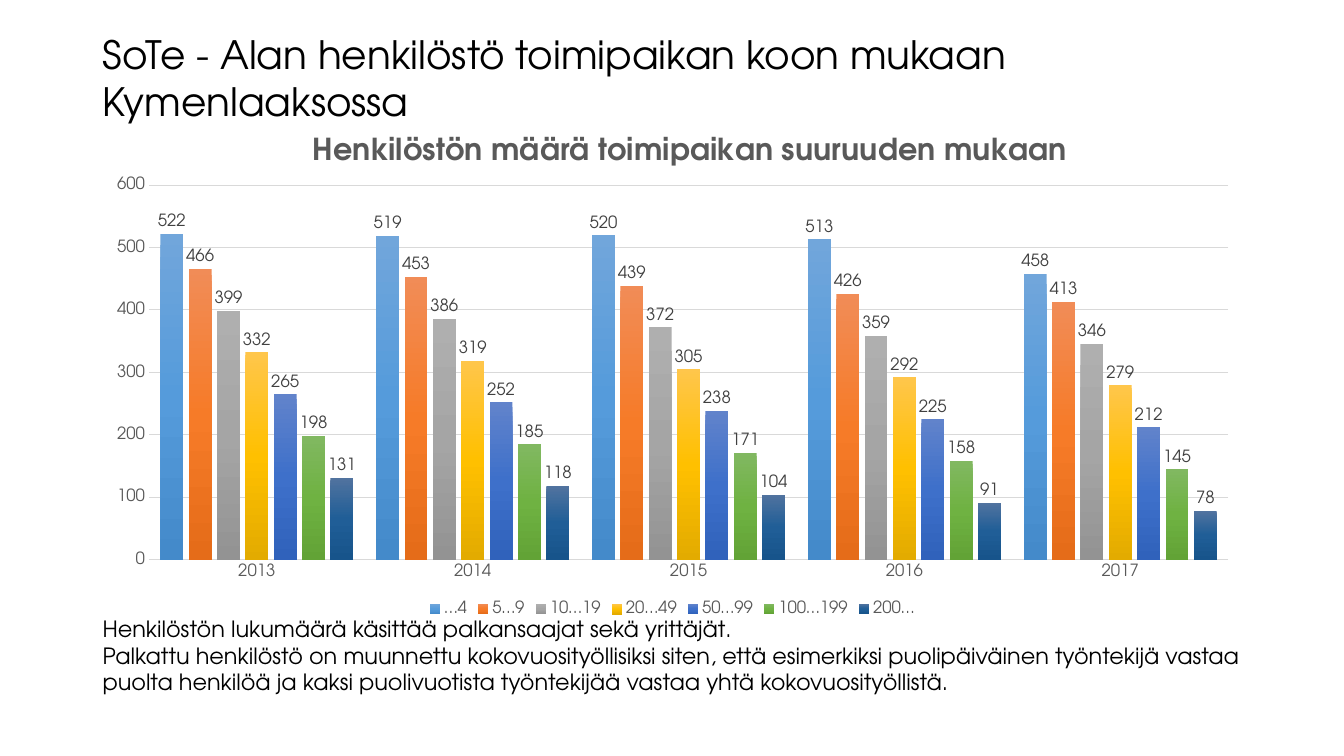
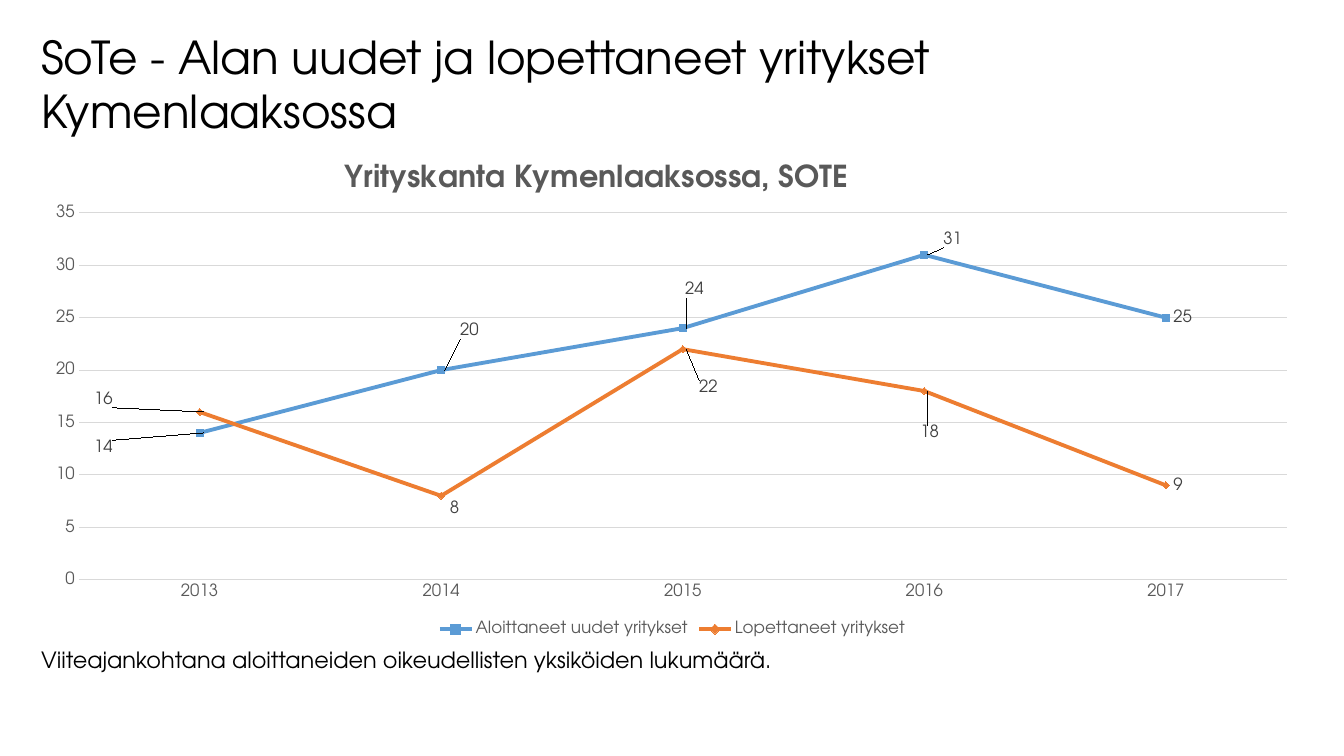
"""Build two slides on care sector staff and firms in Kymenlaakso."""
from copy import deepcopy
from dataclasses import dataclass
from typing import Any, NamedTuple

from lxml.etree import SubElement
from pptx import Presentation
from pptx.chart.data import CategoryChartData as ChartData
from pptx.dml.color import RGBColor
from pptx.enum.chart import XL_CHART_TYPE as Kind
from pptx.enum.chart import XL_LABEL_POSITION as Spot
from pptx.enum.chart import XL_LEGEND_POSITION as Side
from pptx.enum.chart import XL_TICK_MARK as Tick
from pptx.enum.text import MSO_ANCHOR as Anchor
from pptx.oxml.ns import qn
from pptx.util import Inches, Pt

FONT = "TeX Gyre Adventor"
BLACK, GREY, DARK, RULE = "000000", "595959", "404040", "D9D9D9"
YEARS = ("2013", "2014", "2015", "2016", "2017")
WIDE, HIGH = Inches(13.33), Inches(7.5)


class Area(NamedTuple):
    """Left, top, width and height in percent of the slide."""
    left: float
    top: float
    width: float
    height: float


class Row(NamedTuple):
    """One data series, its colours and its label shifts in percent."""
    name: str
    vals: tuple[int, ...]
    tones: tuple[str, ...]
    shifts: tuple[tuple[float, float], ...] = ()


@dataclass
class Graph:
    """A chart, with its inner places in percent of the chart."""
    kind: Kind
    title: str
    area: Area
    head: tuple[float, float]
    plot: Area
    top: int
    step: int
    rows: tuple[Row, ...]


@dataclass
class Page:
    """A slide with a title, a chart and a note."""
    title: str
    size: float
    head: Area
    graph: Graph
    note: tuple[str, ...]
    foot: Area


PAGES = (
    Page(
        "SoTe - Alan henkilöstö toimipaikan koon mukaan Kymenlaaksossa",
        27.9, Area(6.9, 3.6, 86.26, 13.33),
        Graph(
            Kind.COLUMN_CLUSTERED, "Henkilöstön määrä toimipaikan suuruuden mukaan",
            Area(6.9, 15.2, 86.26, 66.93), (18.5, 2.8), Area(4.85, 13.9, 93.1, 74), 600, 100,
            (
                Row("…4", (522, 519, 520, 513, 458), ("71A6DB", "559BDB", "448ACA")),
                Row("5…9", (466, 453, 439, 426, 413), ("F18C57", "F67B28", "E56C19")),
                Row("10…19", (399, 386, 372, 359, 346), ("AFAFAF", "A5A5A5", "939393")),
                Row("20…49", (332, 319, 305, 292, 279), ("FFC64B", "FFC000", "E3AB00")),
                Row("50…99", (265, 252, 238, 225, 212), ("6183CB", "3E70CA", "3062BB")),
                Row("100…199", (198, 185, 171, 158, 145), ("81B861", "6FB242", "62A336")),
                Row("200…", (131, 118, 104, 91, 78), ("51739F", "205E97", "17548B")),
            ),
        ),
        (
            "Henkilöstön lukumäärä käsittää palkansaajat sekä yrittäjät.",
            "Palkattu henkilöstö on muunnettu kokovuosityöllisiksi siten, että esimerkiksi "
            "puolipäiväinen työntekijä vastaa puolta henkilöä ja kaksi puolivuotista "
            "työntekijää vastaa yhtä kokovuosityöllistä.",
        ),
        Area(6.9, 80.67, 86.26, 12.13),
    ),
    Page(
        "SoTe - Alan uudet ja lopettaneet yritykset Kymenlaaksossa",
        32.4, Area(2.33, 4.13, 90.85, 13.73),
        Graph(
            Kind.LINE, "Yrityskanta Kymenlaaksossa, SOTE",
            Area(2.33, 17.87, 95.42, 66.93), (24, 4.2), Area(3.7, 15.4, 94.2, 72.5), 35, 5,
            (
                Row("Aloittaneet uudet yritykset", (14, 20, 24, 31, 25), ("5B9BD5",),
                    ((-8.8, 3), (0.9, -7.7), (-0.4, -7.5), (0.9, -3))),
                Row("Lopettaneet yritykset", (16, 8, 22, 18, 9), ("ED7D31",),
                    ((-8.8, -2.4), (0.1, 2.6), (0.7, 7.7), (-0.9, 8.3))),
            ),
        ),
        ("Viiteajankohtana aloittaneiden oikeudellisten yksiköiden lukumäärä.",),
        Area(2.33, 84.8, 95.42, 4.93),
    ),
)


def tint(code: str) -> RGBColor:
    """Turn a hex string into a colour."""
    return RGBColor.from_string(code)


def style(font: Any, size: float, code: str, bold: bool = False) -> None:
    """Set the face, size, colour and weight of a font."""
    font.name, font.size, font.bold = FONT, Pt(size), bold
    font.color.rgb = tint(code)


def box(area: Area) -> tuple[int, int, int, int]:
    """Turn percent shares into slide lengths."""
    return tuple(int(side * part / 100) for side, part in zip((WIDE, HIGH) * 2, area))


def write(slide: Any, area: Area, lines: tuple[str, ...], size: float, anchor: Anchor) -> None:
    """Add a text box with one paragraph a line."""
    frame = slide.shapes.add_textbox(*box(area)).text_frame
    frame.word_wrap, frame.vertical_anchor = True, anchor
    frame.text = "\n".join(lines)
    for para in frame.paragraphs:
        style(para.font, size, BLACK)


def place(node: Any, index: int, spots: tuple[float, ...], edge: bool = True) -> None:
    """Give a chart part a manual layout in percent of the chart."""
    for old in node.findall(qn("c:layout")):
        node.remove(old)
    layout = node.makeelement(qn("c:layout"))
    node.insert(index, layout)
    manual = SubElement(layout, qn("c:manualLayout"))
    marks = []
    if len(spots) == 4:
        marks.append(("layoutTarget", "inner"))
    if edge:
        marks += [("xMode", "edge"), ("yMode", "edge")]
    marks += [(key, f"{val / 100:.4f}") for key, val in zip("xywh", spots)]
    for key, val in marks:
        SubElement(manual, qn(f"c:{key}")).set("val", val)


def shade(fill: Any, node: Any, tones: tuple[str, ...]) -> None:
    """Fill a series with a gradient from top to bottom."""
    fill.gradient()
    fill.gradient_angle = 270
    stops = node.xpath("c:spPr/a:gradFill/a:gsLst")[0]
    while len(stops) < len(tones):
        stops.append(deepcopy(stops[-1]))
    for i, (stop, tone) in enumerate(zip(fill.gradient_stops, tones)):
        stop.position = i / (len(tones) - 1)
        stop.color.rgb = tint(tone)


def label(series: Any, row: Row, spot: Spot) -> None:
    """Show the values of a series and shift single labels."""
    tags = series.data_labels
    tags.show_value, tags.position = True, spot
    tags.number_format, tags.number_format_is_linked = "0", False
    style(tags.font, 12, DARK)
    for i, shift in enumerate(row.shifts):
        tag = series.points[i].data_label
        style(tag.font, 12, DARK)
        tag.position = spot
        place(series._element.xpath("c:dLbls/c:dLbl")[i], 1, shift, False)


def paint(series: Any, row: Row) -> None:
    """Draw a series as gradient columns or as a plain line."""
    if len(row.tones) > 1:
        series.invert_if_negative = False
        shade(series.format.fill, series._element, row.tones)
        label(series, row, Spot.OUTSIDE_END)
    else:
        series.smooth = False
        series.marker.style = None
        series.format.line.width = Pt(2.75)
        series.format.line.color.rgb = tint(row.tones[0])
        label(series, row, Spot.RIGHT)


def scale(chart: Any, graph: Graph) -> None:
    """Style both axes and the grid lines."""
    years, count = chart.category_axis, chart.value_axis
    for axis in (years, count):
        axis.major_tick_mark = axis.minor_tick_mark = Tick.NONE
        style(axis.tick_labels.font, 12, GREY)
    years.format.line.color.rgb = tint(RULE)
    years.format.line.width = Pt(1)
    count.format.line.fill.background()
    count.minimum_scale, count.maximum_scale = 0, graph.top
    count.major_unit = graph.step
    count.has_major_gridlines = True
    grid = count.major_gridlines.format.line
    grid.color.rgb, grid.width = tint(RULE), Pt(0.75)


def plot(slide: Any, graph: Graph) -> None:
    """Add a chart with its title, legend, axes and series."""
    data = ChartData(number_format="0")
    data.categories = YEARS
    for row in graph.rows:
        data.add_series(row.name, row.vals)
    chart = slide.shapes.add_chart(graph.kind, *box(graph.area), data).chart
    style(chart.font, 10, BLACK)
    chart.has_title = True
    frame = chart.chart_title.text_frame
    frame.text = graph.title
    style(frame.paragraphs[0].font, 21.6, GREY, True)
    place(chart.chart_title._element, 1, graph.head)
    place(chart._chartSpace.xpath("c:chart/c:plotArea")[0], 0, graph.plot)
    chart.has_legend = True
    chart.legend.position = Side.BOTTOM
    chart.legend.include_in_layout = False
    style(chart.legend.font, 12, GREY)
    scale(chart, graph)
    group = chart.plots[0]
    group.vary_by_categories = False
    if graph.kind == Kind.COLUMN_CLUSTERED:
        group.gap_width, group.overlap = 100, -24
    for series, row in zip(group.series, graph.rows):
        paint(series, row)


def main() -> None:
    """Build and save the deck."""
    deck = Presentation()
    deck.slide_width, deck.slide_height = WIDE, HIGH
    for page in PAGES:
        slide = deck.slides.add_slide(deck.slide_layouts[6])
        write(slide, page.head, (page.title,), page.size, Anchor.MIDDLE)
        plot(slide, page.graph)
        write(slide, page.foot, page.note, 16, Anchor.TOP)
    deck.save("out.pptx")


if __name__ == "__main__":
    main()
